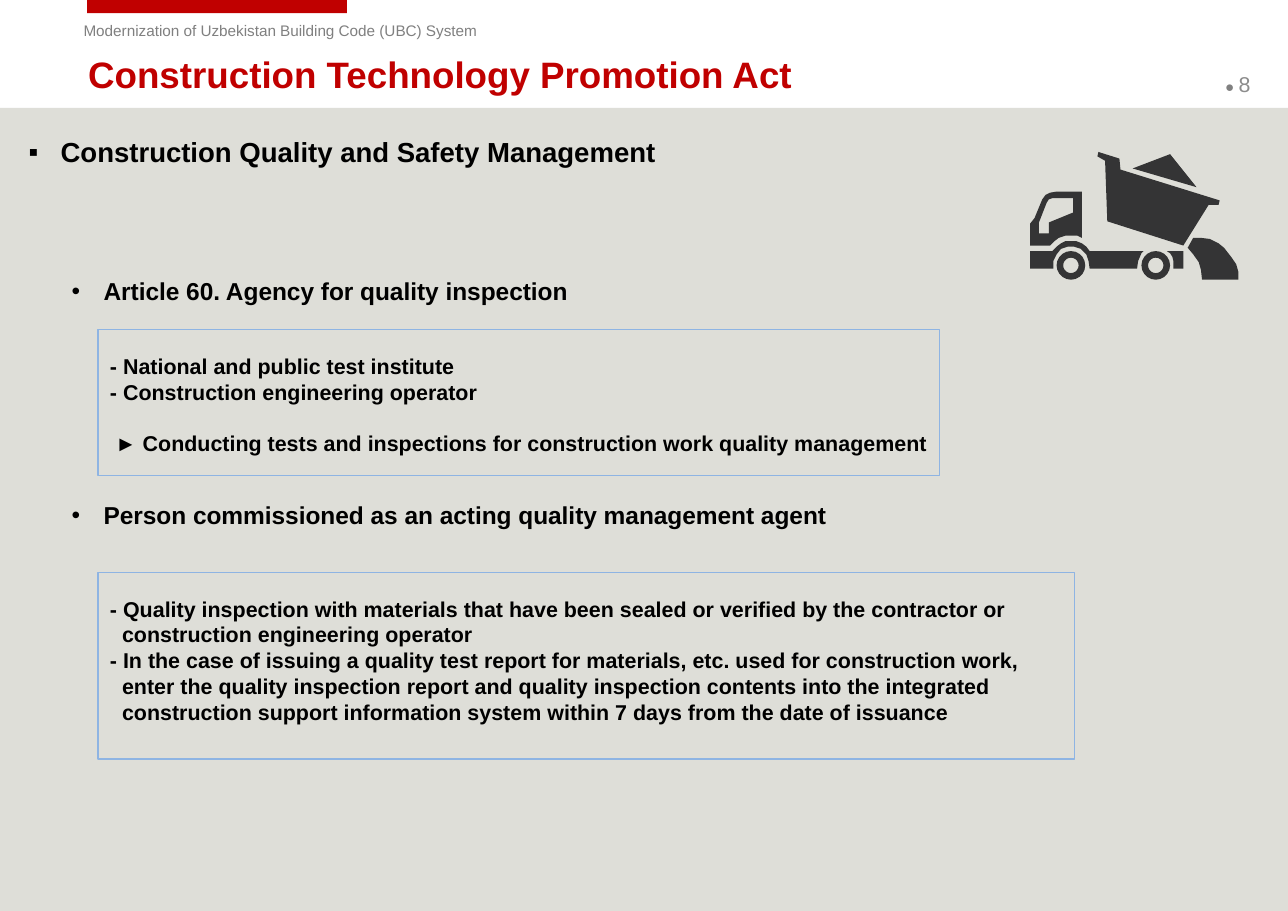
from math import cos, pi, sin
from lxml import etree
from pptx import Presentation
from pptx.dml.color import RGBColor
from pptx.enum import shapes, text
from pptx.oxml import ns
from pptx.util import Inches, Pt

COLORS = {"panel": "DEDED8", "red": "C00000", "grey": "808080", "page": "8C8C8C",
          "black": "000000", "truck": "343435", "frame": "8EB4E3"}

# Text, top, size, left indent, bullet
HEADS = [
    ("Construction Quality and Safety Management", 1.17, 18, 0.29, "▪"),
    ("Article 60. Agency for quality inspection", 2.45, 16, 0.68, "•"),
    ("Person commissioned as an acting quality management agent", 4.48, 16, 0.68, "•"),
]
INSTITUTES = [
    {"runs": "- National and public test institute"},
    {"runs": "- Construction engineering operator"},
    {"runs": "► Conducting tests and inspections for construction work quality management",
     "left": 0.05, "before": 16.5},
]
DUTIES = [
    {"runs": "- Quality inspection with materials that have been sealed or verified "
             "by the contractor or construction engineering operator"},
    {"runs": "- In the case of issuing a quality test report for materials, etc. used for "
             "construction work, enter the quality inspection report and quality inspection "
             "contents into the integrated construction support information system within "
             "7 days from the date of issuance"},
]
# Frame box, text box, paragraphs, hanging indent
PANELS = [
    ((0.89, 2.99, 7.64, 1.33), (0.9, 3.16, 8.06, 1.04), INSTITUTES, 0),
    ((0.89, 5.2, 8.86, 1.69), (0.9, 5.36, 8.84, 1.28), DUTIES, 0.11),
]

# Truck outlines, in inches on the slide
BED = [(10.03, 1.46), (9.96, 1.42), (9.97, 1.38), (10.16, 1.44), (10.17, 1.54),
       (11.07, 1.82), (11.06, 1.86), (10.97, 1.86), (10.74, 2.23), (10.05, 2.01)]
CAB = [(9.53, 2.23), (9.35, 2.23), (9.35, 2.03), (9.39, 1.98), (9.46, 1.81),
       (9.49, 1.77), (9.53, 1.75), (9.59, 1.74), (9.82, 1.74), (9.82, 2.16),
       (9.78, 2.14), (9.72, 2.14), (9.67, 2.14), (9.61, 2.16), (9.57, 2.19)]
WINDOW = [(9.52, 2.12), (9.52, 2.02), (9.74, 1.93), (9.74, 1.8), (9.59, 1.8),
          (9.55, 1.8), (9.52, 1.81), (9.5, 1.84), (9.43, 2.02), (9.43, 2.12)]
CHASSIS = [(9.89, 2.28), (9.86, 2.24), (9.82, 2.21), (9.77, 2.19), (9.72, 2.19),
           (9.67, 2.19), (9.63, 2.21), (9.59, 2.24), (9.55, 2.28), (9.35, 2.28),
           (9.35, 2.44), (9.56, 2.44), (9.56, 2.37), (9.59, 2.31), (9.63, 2.26),
           (9.69, 2.24), (9.75, 2.24), (9.81, 2.26), (9.86, 2.31), (9.88, 2.37),
           (9.89, 2.44), (10.32, 2.44), (10.33, 2.37), (10.36, 2.3), (10.38, 2.28)]
LOAD = [(10.62, 1.4), (10.28, 1.53), (10.86, 1.7)]
TAIL = [(10.65, 2.44), (10.74, 2.44), (10.74, 2.28), (10.59, 2.28), (10.62, 2.3),
        (10.64, 2.33), (10.65, 2.37)]
HEAP = [(10.86, 2.16), (10.83, 2.16), (10.78, 2.25), (10.83, 2.31), (10.88, 2.38),
        (10.9, 2.45), (10.91, 2.54), (11.24, 2.54), (11.24, 2.47), (11.22, 2.4),
        (11.18, 2.34), (11.11, 2.25), (11.06, 2.21), (10.98, 2.17), (10.9, 2.16)]
WHEELS = [9.72, 10.49]
AXLE, TYRE, HUB = 2.41, 0.13, 0.07

deck = Presentation()
deck.slide_width, deck.slide_height = Inches(11.69), Inches(8.27)
slide = deck.slides.add_slide(deck.slide_layouts[6])


def color(name):
    return RGBColor.from_string(COLORS[name])


def paint(shape, fill=None, line=None):
    shape.shadow.inherit = False
    for part, name in ((shape.fill, fill), (shape.line.fill, line)):
        if name:
            part.solid()
            part.fore_color.rgb = color(name)
        else:
            part.background()
    if line:
        shape.line.width = Pt(0.75)


def rect(box, **style):
    kind = shapes.MSO_SHAPE.RECTANGLE
    paint(slide.shapes.add_shape(kind, *map(Inches, box)), **style)


def write(box, paras, size=14, ink="black", bold=True, inset=(0.1, 0.05),
          middle=False, left=0, hang=0, bullet=None):
    """Add a text box; a paragraph's runs are a string or (text, size, ink) tuples."""
    frame = slide.shapes.add_textbox(*map(Inches, box)).text_frame
    frame.word_wrap = True
    frame.margin_left = frame.margin_right = Inches(inset[0])
    frame.margin_top = frame.margin_bottom = Inches(inset[1])
    frame.vertical_anchor = text.MSO_ANCHOR.MIDDLE if middle else text.MSO_ANCHOR.TOP
    for i, item in enumerate(paras):
        para = frame.add_paragraph() if i else frame.paragraphs[0]
        props = para._p.get_or_add_pPr()
        props.set("marL", str(Inches(item.get("left", left))))
        props.set("indent", str(-Inches(hang)))
        if bullet:
            etree.SubElement(props, ns.qn("a:buFont")).set("typeface", "Arial")
            etree.SubElement(props, ns.qn("a:buChar")).set("char", bullet)
        if "before" in item:
            para.space_before = Pt(item["before"])
        runs = item["runs"]
        for words, points, tint in [(runs, size, ink)] if isinstance(runs, str) else runs:
            run = para.add_run()
            run.text = words
            run.font.name, run.font.size, run.font.bold = "Arial", Pt(points), bold
            run.font.color.rgb = color(tint)


def ring(x, radius, steps=20):
    turns = [2 * pi * i / steps for i in range(steps)]
    return [(x + radius * cos(a), AXLE + radius * sin(a)) for a in turns]


def truck():
    """Draw all outlines as one freeform, so inner ones become holes."""
    rings = [ring(x, radius) for x in WHEELS for radius in (TYRE, HUB)]
    parts = [[(Inches(x), Inches(y)) for x, y in part]
             for part in (BED, CAB, WINDOW, CHASSIS, LOAD, TAIL, HEAP, *rings)]
    pen = slide.shapes.build_freeform(*parts[0][0])
    for i, part in enumerate(parts):
        if i:
            pen.move_to(*part[0])
        pen.add_line_segments(part[1:], close=True)
    paint(pen.convert_to_shape(), fill="truck")


rect((0, 0.98, 11.69, 7.29), fill="panel")
rect((0.79, 0, 2.36, 0.12), fill="red")
write((0.66, 0.14, 4.68, 0.27),
      [{"runs": "Modernization of Uzbekistan Building Code (UBC) System"}],
      size=10, ink="grey", bold=False)
write((11.01, 0.54, 0.69, 0.44), [{"runs": [("● ", 10, "grey"), ("8", 14, "page")]}],
      bold=False, inset=(0.11, 0.06), middle=True)
write((0.69, 0.47, 10.42, 0.4), [{"runs": "Construction Technology Promotion Act"}],
      size=24, ink="red", inset=(0.11, 0.06), middle=True)
for words, top, size, left, bullet in HEADS:
    write((0.15, top, 11.38, 0.4), [{"runs": words}], size=size, left=left,
          hang=0.29, bullet=bullet, inset=(0.11, 0.06))
truck()
for frame, box, paras, hang in PANELS:
    rect(frame, line="frame")
    write(box, paras, left=hang, hang=hang)

deck.save("out.pptx")
